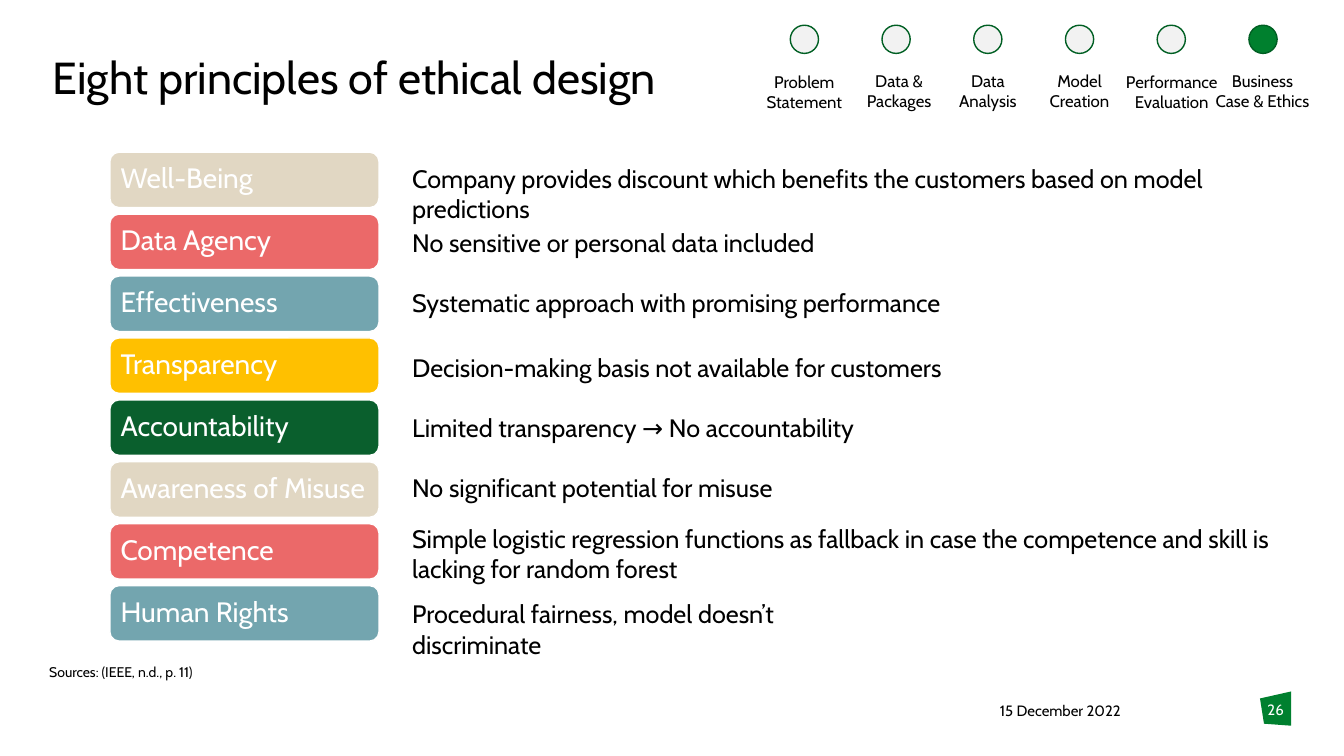
from pptx import Presentation
from pptx.dml.color import RGBColor
from pptx.enum.shapes import MSO_SHAPE
from pptx.enum.text import MSO_ANCHOR, PP_ALIGN
from pptx.util import Pt

SCALE = 9144
ROUND, OVAL = MSO_SHAPE.ROUNDED_RECTANGLE, MSO_SHAPE.OVAL
TOP, MIDDLE = MSO_ANCHOR.TOP, MSO_ANCHOR.MIDDLE
LEFT, CENTER = PP_ALIGN.LEFT, PP_ALIGN.CENTER
FONT = "Cabin"
COLORS = {
    "black": "000000", "white": "FFFFFF", "sand": "E1D7C3",
    "coral": "EB6969", "teal": "73A5AF", "gold": "FFC000",
    "forest": "0A5F2D", "rim": "005F23", "pale": "F2F2F2",
    "green": "00802E", "badge": "00802F",
}
NONE = (0, 0, 0, 0)
INSET = (10, 5, 10, 5)

STEPS = [
    ("Problem Statement", 746, 66, 104),
    ("Data & Packages", 846, 65, 92),
    ("Data Analysis", 934, 65, 92),
    ("Model Creation", 1025, 65, 92),
    ("Performance Evaluation", 1105, 66, 115),
    ("Business Case & Ethics", 1195, 65, 115),
]
RULES = [
    ("Well-Being", "sand", 157, 912,
     "Company provides discount which benefits the customers based on model predictions"),
    ("Data Agency", "coral", 221, 555, "No sensitive or personal data included"),
    ("Effectiveness", "teal", 280, 555, "Systematic approach with promising performance"),
    ("Transparency", "gold", 345, 555, "Decision-making basis not available for customers"),
    ("Accountability", "forest", 404, 555, "Limited transparency → No accountability"),
    ("Awareness of Misuse", "sand", 464, 610, "No significant potential for misuse"),
    ("Competence", "coral", 514, 899,
     "Simple logistic regression functions as fallback in case the competence"
     " and skill is lacking for random forest"),
    ("Human Rights", "teal", 589, 512, "Procedural fairness, model doesn’t discriminate"),
]


def px(*nums):
    return [round(n * SCALE) for n in nums]


def tint(name):
    return RGBColor.from_string(COLORS[name])


def assign(item, values):
    for key, value in values.items():
        setattr(item, key, value)


def write(shape, text, size, color="black", align=LEFT, inset=INSET,
          anchor=TOP, lead=1.0):
    frame = shape.text_frame
    sides = ("margin_left", "margin_top", "margin_right", "margin_bottom")
    assign(frame, dict(zip(sides, px(*inset)), word_wrap=True,
                       vertical_anchor=anchor))
    para = frame.paragraphs[0]
    assign(para, {"text": text, "alignment": align, "line_spacing": lead})
    font = para.runs[0].font
    assign(font, {"name": FONT, "size": Pt(size), "bold": False})
    font.color.rgb = tint(color)


def label(slide, box, text, size, **style):
    write(slide.shapes.add_textbox(*px(*box)), text, size, **style)


def paint(shape, fill, line=None):
    shape.shadow.inherit = False
    shape.fill.solid()
    shape.fill.fore_color.rgb = tint(fill)
    if line:
        shape.line.color.rgb = tint(line)
        shape.line.width = Pt(1)
    else:
        shape.line.fill.background()


def block(slide, kind, box, fill, line):
    shape = slide.shapes.add_shape(kind, *px(*box))
    paint(shape, fill, line)
    return shape


def title(slide, text):
    holder = slide.shapes.title
    assign(holder, dict(zip(("left", "top", "width", "height"),
                            px(52, 55, 1229, 89))))
    write(holder, text, 32, inset=NONE, lead=0.9)


def badge(slide, text):
    points = [px(*p) for p in ((1281, 686), (1281, 720), (1254, 718))]
    form = slide.shapes.build_freeform(*px(1250, 693))
    form.add_line_segments(points, close=True)
    paint(form.convert_to_shape(), "badge")
    label(slide, (1250, 695, 31, 40), text, 10.7, color="white",
          align=CENTER, inset=NONE)


def tracker(slide):
    for i, (text, left, top, width) in enumerate(STEPS):
        fill = "green" if i == len(STEPS) - 1 else "pale"
        block(slide, OVAL, (784 + 91 * i, 25, 28, 28), fill, "rim")
        label(slide, (left, top, width, 50), text, 12, align=CENTER)


def rules(slide):
    pitch = 430 / (len(RULES) - 1)
    for i, (name, fill, top, width, text) in enumerate(RULES):
        bar = block(slide, ROUND, (109, 151 + pitch * i, 267, 55), fill, "white")
        write(bar, name, 20, color="white", inset=(8, 8, 5, 8),
              anchor=MIDDLE, lead=0.9)
        label(slide, (399, top, width, 40), text, 18)


def main():
    deck = Presentation()
    deck.slide_width, deck.slide_height = px(1333.33, 750)
    slide = deck.slides.add_slide(deck.slide_layouts[5])
    title(slide, "Eight principles of ethical design")
    badge(slide, "26")
    label(slide, (992, 696, 172, 27), "15 December 2022", 10.7, inset=NONE)
    tracker(slide)
    rules(slide)
    label(slide, (39, 653, 710, 44), "Sources: (IEEE, n.d., p. 11)", 10)
    deck.save("out.pptx")


if __name__ == "__main__":
    main()
